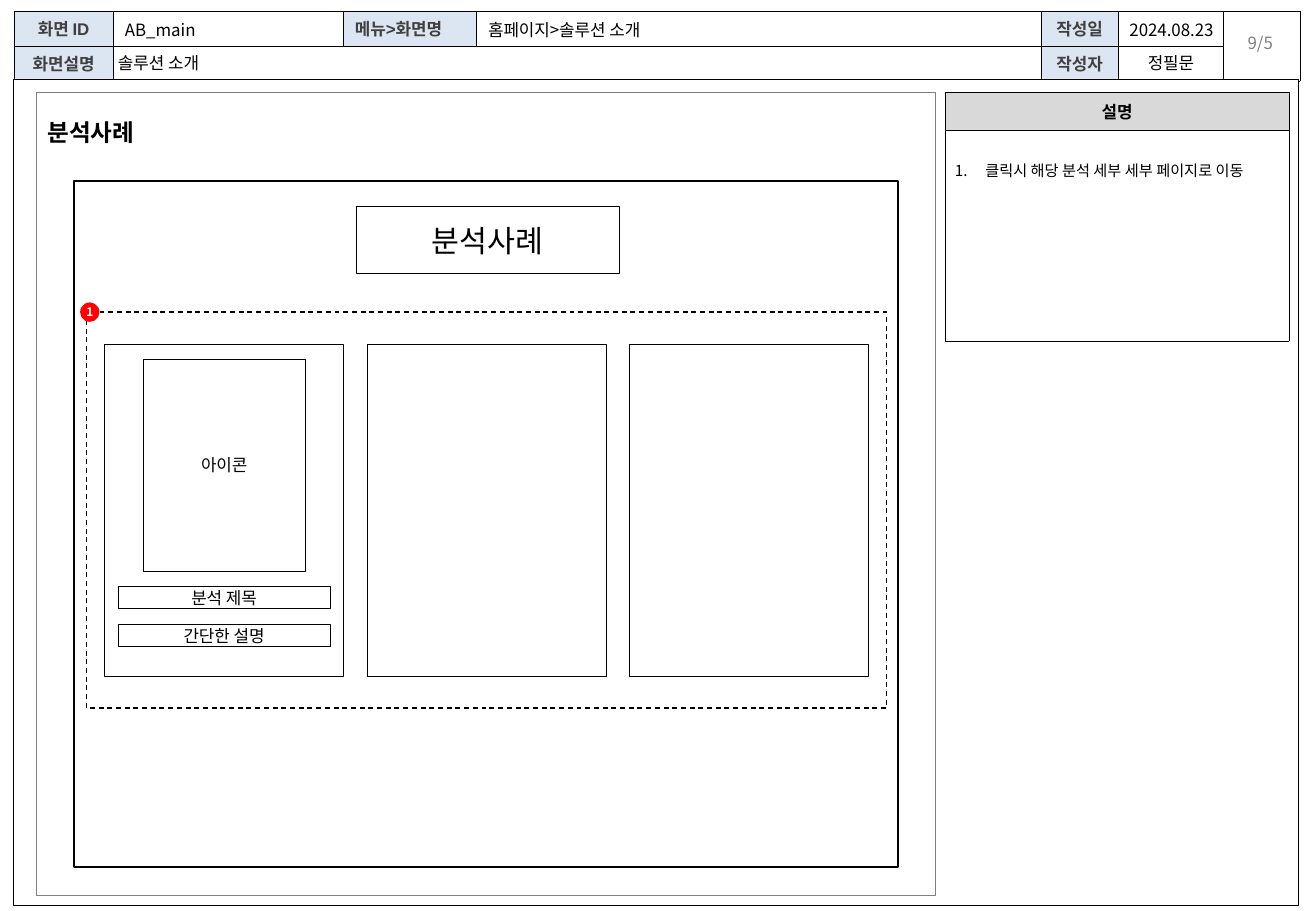
from lxml.etree import SubElement
from pptx import Presentation
from pptx.dml.color import RGBColor
from pptx.enum.dml import MSO_LINE
from pptx.enum.shapes import MSO_SHAPE
from pptx.enum.text import MSO_ANCHOR, PP_ALIGN
from pptx.oxml.ns import qn
from pptx.util import Pt

KOREAN = "Noto Sans CJK KR"


def rgb(code):
    return RGBColor.from_string(code)


def write(tf, text, size=10, color="000000", bold=False, font=KOREAN,
          align=PP_ALIGN.LEFT, anchor=MSO_ANCHOR.TOP, number_indent=0):
    tf.vertical_anchor = anchor
    p = tf.paragraphs[0]
    p.alignment = align
    if number_indent:
        pPr = p._p.get_or_add_pPr()
        pPr.set("marL", str(Pt(number_indent)))
        pPr.set("indent", str(-Pt(number_indent)))
        SubElement(pPr, qn("a:buFont"), typeface="+mj-lt")
        SubElement(pPr, qn("a:buAutoNum"), type="arabicPeriod")
    if not text:
        SubElement(p._p, qn("a:endParaRPr"), sz=str(size * 100))
        return
    r = p.add_run()
    r.text = text
    r.font.size = Pt(size)
    r.font.bold = bold
    r.font.name = font
    r.font.color.rgb = rgb(color)
    SubElement(r._r.get_or_add_rPr(), qn("a:ea"), typeface=KOREAN)


class Wireframe:
    line = "000000"
    thin = 0.25

    def __init__(self, slide):
        self.s = slide

    def margins(self, tf, left, top, right, bottom):
        tf.margin_left, tf.margin_top = Pt(left), Pt(top)
        tf.margin_right, tf.margin_bottom = Pt(right), Pt(bottom)

    def box(self, x, y, w, h, text="", fill="FFFFFF", line=line, width=thin,
            dashed=False, kind=MSO_SHAPE.RECTANGLE, **style):
        sp = self.s.shapes.add_shape(kind, Pt(x), Pt(y), Pt(w), Pt(h))
        sp.shadow.inherit = False
        if fill:
            sp.fill.solid()
            sp.fill.fore_color.rgb = rgb(fill)
        else:
            sp.fill.background()
        if line:
            sp.line.color.rgb = rgb(line)
            sp.line.width = Pt(width)
        else:
            sp.line.fill.background()
        if dashed:
            sp.line.dash_style = MSO_LINE.DASH
        if text:
            self.margins(sp.text_frame, 0, 0, 0, 0)
            write(sp.text_frame, text, align=PP_ALIGN.CENTER,
                  anchor=MSO_ANCHOR.MIDDLE, **style)

    def label(self, x, y, w, h, text, left=7.2, **style):
        sp = self.s.shapes.add_textbox(Pt(x), Pt(y), Pt(w), Pt(h))
        sp.text_frame.word_wrap = True
        self.margins(sp.text_frame, left, 3.6, 7.2, 3.6)
        write(sp.text_frame, text, **style)

    def title(self, x, y, w, h, text, **style):
        sp = self.s.shapes.title
        self.s.shapes.element.append(sp.element)
        sp.left, sp.top, sp.width, sp.height = Pt(x), Pt(y), Pt(w), Pt(h)
        self.margins(sp.text_frame, 2.9, 3.6, 0, 3.6)
        write(sp.text_frame, text, **style)

    def table(self, x, y, widths, heights):
        frame = self.s.shapes.add_table(len(heights), len(widths), Pt(x), Pt(y),
                                        Pt(sum(widths)), Pt(sum(heights)))
        table = frame.table
        for column, width in zip(table.columns, widths):
            column.width = Pt(width)
        for row, height in zip(table.rows, heights):
            row.height = Pt(height)
        return table

    def cell(self, cell, text="", fill="FFFFFF", margins=(7.2, 0, 7.2, 0), **style):
        tcPr = cell._tc.get_or_add_tcPr()
        for side in ("lnL", "lnR", "lnT", "lnB"):
            ln = SubElement(tcPr, qn(f"a:{side}"), w=str(Pt(self.thin)))
            solid = SubElement(ln, qn("a:solidFill"))
            SubElement(solid, qn("a:srgbClr"), val=self.line)
        cell.fill.solid()
        cell.fill.fore_color.rgb = rgb(fill)
        self.margins(cell, *margins)
        write(cell.text_frame, text, **style)
        cell.vertical_anchor = style.get("anchor", MSO_ANCHOR.MIDDLE)


def draw_header(wf):
    headings = {(0, 0): "화면 ID", (0, 2): "메뉴>화면명", (0, 4): "작성일",
                (1, 0): "화면설명", (1, 4): "작성자"}
    table = wf.table(8.2, 6.7, [59, 136, 79.2, 334.8, 45.4, 62.6, 45.4], [20.6, 20.6])
    table.cell(1, 1).merge(table.cell(1, 3))
    table.cell(0, 6).merge(table.cell(1, 6))
    for row in range(2):
        for col in range(7):
            text = headings.get((row, col), "")
            align = PP_ALIGN.LEFT if col == 2 else PP_ALIGN.CENTER
            wf.cell(table.cell(row, col), text, fill="DCE6F2" if text else "FFFFFF",
                    margins=(7.2 if col == 2 else 0, 0, 0, 0), align=align,
                    font="Arial", color="404040", bold=True)
    wf.label(724.3, 15.8, 45.4, 19.4, "9/5", color="808080", align=PP_ALIGN.CENTER)
    wf.box(7.9, 46.8, 761.8, 489.6)
    wf.title(67, 27.4, 486.7, 20.9, "솔루션 소개", font="Arial")
    for x, y, w, text in ((67, 7.9, 74.2, "AB_main"),
                          (282.2, 7.9, 260.6, "홈페이지>솔루션 소개"),
                          (662.4, 7.9, 67.7, "2024.08.23"),
                          (673.2, 27.4, 56.9, "정필문")):
        wf.label(x, y, w, 19.4, text)


def draw_screen(wf):
    wf.box(43.9, 107.3, 488.2, 406.8, width=1)
    wf.box(21.6, 54.7, 532.8, 475.9, fill=None, line="7F7F7F", width=0.75)
    wf.box(51.1, 185, 474.5, 234.7, width=0.75, dashed=True)
    wf.label(28.1, 66.2, 196.6, 24.5, "분석사례", left=0, size=14, bold=True)
    wf.box(211, 122.4, 156.2, 39.6, "분석사례", size=18)
    for i in range(3):
        wf.box(61.9 + 155.5 * i, 203.8, 141.8, 197.3)
    wf.box(85, 213.1, 95.8, 125.3, "아이콘")
    for i, text in enumerate(("분석 제목", "간단한 설명")):
        wf.box(69.8, 347.6 + 22.5 * i, 126, 13.2, text)
    wf.box(47.5, 179.3, 11.5, 11.5, "1", fill="FF0000", line=None,
           kind=MSO_SHAPE.OVAL, size=7, color="FFFFFF", bold=True)


def draw_description(wf):
    table = wf.table(560.2, 54.7, [203.8], [22.5, 125])
    wf.cell(table.cell(0, 0), "설명", fill="D9D9D9", bold=True, align=PP_ALIGN.CENTER)
    wf.cell(table.cell(1, 0), "클릭시 해당 분석 세부 세부 페이지로 이동", size=9,
            margins=(5.8, 17, 5.8, 3.6), anchor=MSO_ANCHOR.TOP, number_indent=18)


def main():
    prs = Presentation()
    prs.slide_width, prs.slide_height = Pt(780), Pt(540)
    wf = Wireframe(prs.slides.add_slide(prs.slide_layouts[5]))
    draw_header(wf)
    draw_screen(wf)
    draw_description(wf)
    prs.save("out.pptx")


if __name__ == "__main__":
    main()
